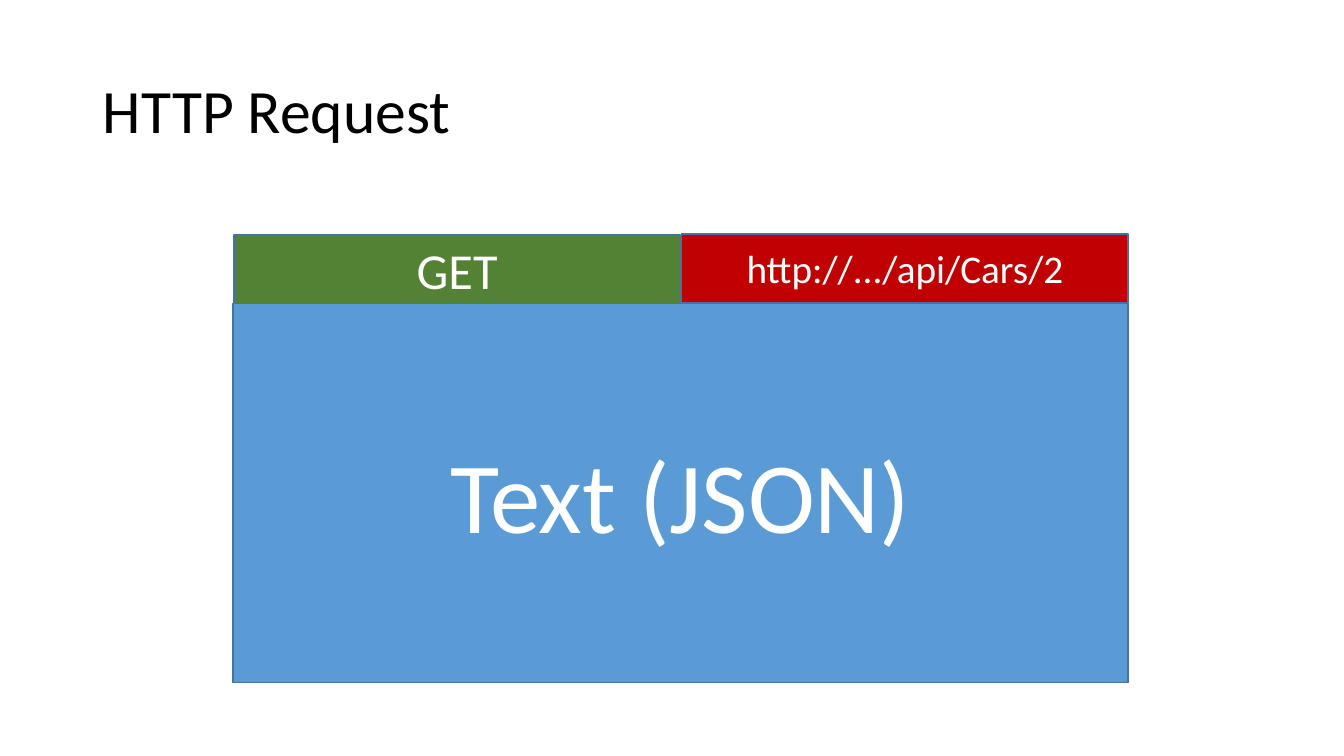
from pptx import Presentation
from pptx import util as u
from pptx.dml.color import RGBColor
from pptx.enum import shapes, text

FONT = "Calibri"
HUES = {
    "title": "000000",
    "label": "FFFFFF",
    "edge": "43739E",
    "body": "5B9BD5",
    "verb": "548235",
    "url": "C00000",
}


def hue(name):
    return RGBColor.from_string(HUES[name])


def write(frame, words, size, color, align):
    frame.text = words
    frame.word_wrap = True
    frame.auto_size = text.MSO_AUTO_SIZE.NONE
    frame.vertical_anchor = text.MSO_ANCHOR.MIDDLE
    para = frame.paragraphs[0]
    para.alignment = align
    para.font.name = FONT
    para.font.size = u.Pt(size)
    para.font.color.rgb = hue(color)
    return para


def add_title(slide, words):
    title = slide.shapes.title
    title.left, title.top = u.Inches(0.92), u.Inches(0.4)
    title.width, title.height = u.Inches(11.5), u.Inches(1.45)
    para = write(title.text_frame, words, 44, "title", text.PP_ALIGN.LEFT)
    para.line_spacing = 0.9


def add_block(slide, box, fill, words, size):
    block = slide.shapes.add_shape(
        shapes.MSO_SHAPE.RECTANGLE, *map(u.Inches, box))
    block.shadow.inherit = False
    block.fill.solid()
    block.fill.fore_color.rgb = hue(fill)
    block.line.color.rgb = hue("edge")
    block.line.width = u.Pt(1)
    write(block.text_frame, words, size, "label", text.PP_ALIGN.CENTER)


def main():
    deck = Presentation()
    deck.slide_width, deck.slide_height = u.Inches(13.33), u.Inches(7.5)
    slide = deck.slides.add_slide(deck.slide_layouts[5])
    add_title(slide, "HTTP Request")
    add_block(slide, (2.31, 3.01, 8.88, 3.76), "body", "Text (JSON)", 72)
    add_block(slide, (2.32, 2.33, 4.43, 0.68), "verb", "GET", 36)
    add_block(slide, (6.76, 2.32, 4.43, 0.68), "url",
              "http://.../api/Cars/2", 28)
    deck.save("out.pptx")


main()
